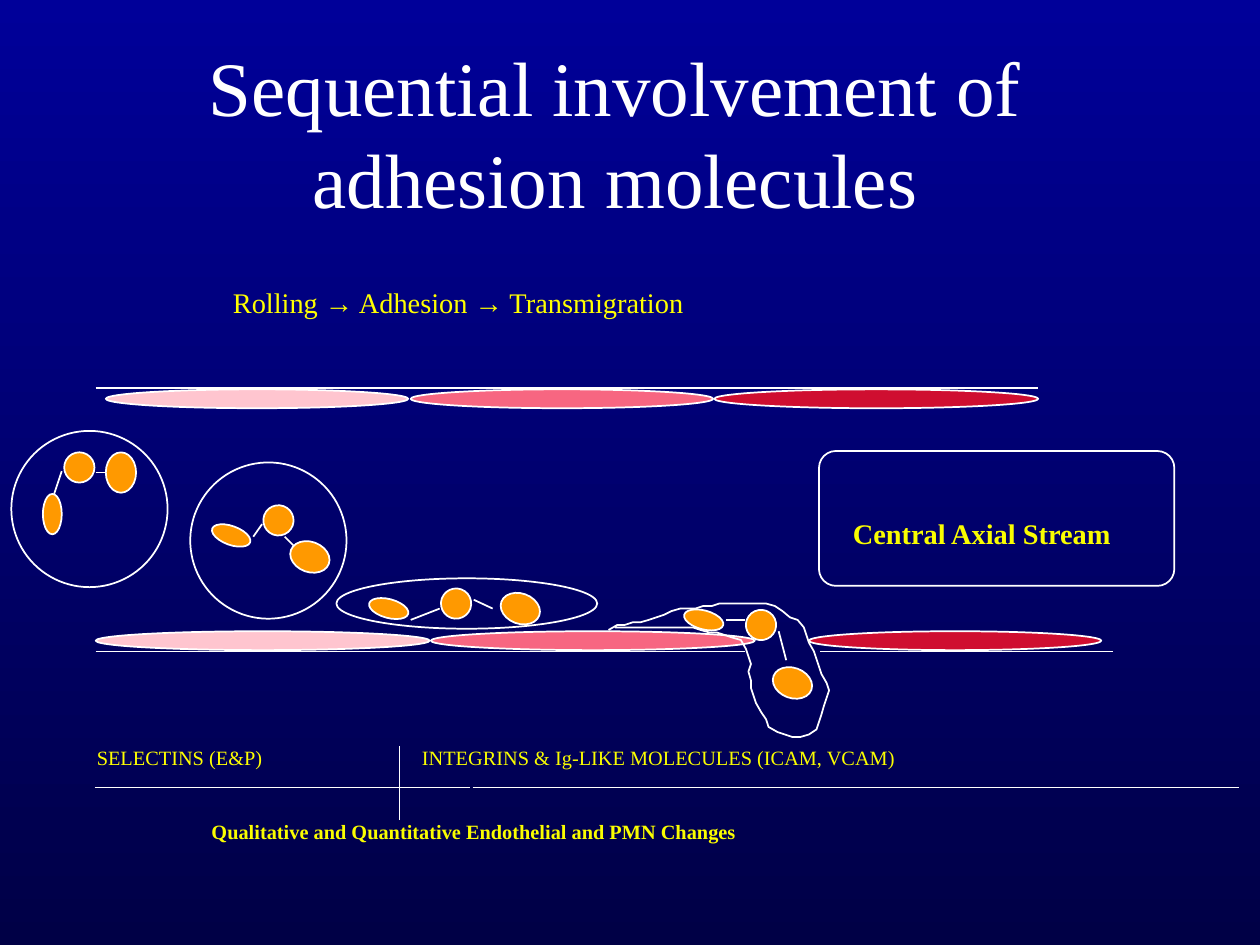
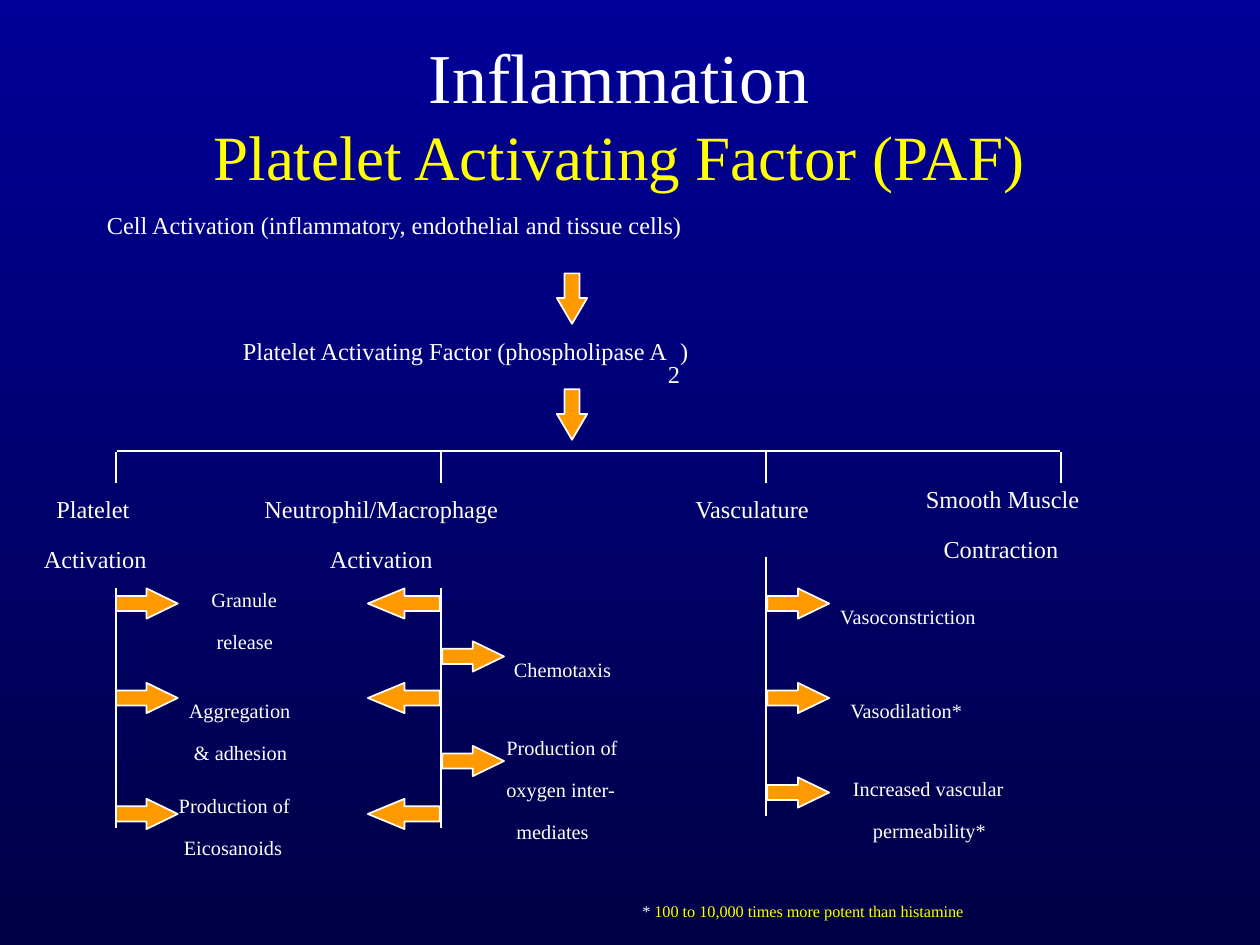
from dataclasses import dataclass

from lxml.etree import SubElement
from pptx import Presentation
from pptx.dml.color import RGBColor
from pptx.enum.shapes import MSO_CONNECTOR as Connector, MSO_SHAPE as Preset
from pptx.enum.text import MSO_ANCHOR as Anchor, MSO_AUTO_SIZE as AutoSize, PP_ALIGN as Align
from pptx.oxml.ns import qn
from pptx.shapes.autoshape import Shape
from pptx.slide import Slide
from pptx.util import Emu, Pt

EMU_PER_PX = 9144
FONT = "Times New Roman"
WHITE, YELLOW, LEMON, ORANGE = "FFFFFF", "FFFF00", "FAFD00", "FF9900"
BACKGROUND = ("000099", "000046")
ENDOTHELIUM = ("FFC5CF", "F76681", "CF0E30")
RAISED, LOWERED = 30, -25
TILT, LEAN = 290, 105

Box = tuple[int, int, int, int]


@dataclass(frozen=True)
class Run:
    text: str
    size: int | None = None
    color: str | None = None
    baseline: int = RAISED


@dataclass(frozen=True)
class Line:
    runs: tuple[Run, ...]
    indent: int = 0


@dataclass(frozen=True)
class Label:
    box: Box
    lines: tuple[Line, ...]
    size: int
    color: str = WHITE
    bold: bool = False
    wrap: bool = False


@dataclass(frozen=True)
class Figure:
    preset: Preset
    box: Box
    fill: str | None = None
    rotation: int = 0
    adjustments: tuple[float, ...] = ()


def px(length: int) -> Emu:
    return Emu(length * EMU_PER_PX)


def rgb(color: str) -> RGBColor:
    return RGBColor.from_string(color)


def line(text: str, indent: int = 0) -> Line:
    return Line((Run(text),), indent)


def ellipse(box: Box, fill: str | None = None, rotation: int = 0) -> Figure:
    return Figure(Preset.OVAL, box, fill, rotation)


def new_slide(presentation: Presentation) -> Slide:
    slide = presentation.slides.add_slide(presentation.slide_layouts[6])
    fill = slide.background.fill
    fill.gradient()
    fill.gradient_angle = 270
    for stop, color in zip(fill.gradient_stops, BACKGROUND):
        stop.color.rgb = rgb(color)
    return slide


def style_outline(shape: Shape, fill: str | None) -> None:
    shape.shadow.inherit = False
    shape.line.color.rgb = rgb(WHITE)
    shape.line.width = Pt(1)
    if fill:
        shape.fill.solid()
        shape.fill.fore_color.rgb = rgb(fill)
    else:
        shape.fill.background()


def draw_figure(slide: Slide, figure: Figure) -> None:
    shape = slide.shapes.add_shape(figure.preset, *map(px, figure.box))
    shape.rotation = figure.rotation
    for index, value in enumerate(figure.adjustments):
        shape.adjustments[index] = value
    style_outline(shape, figure.fill)


def draw_rule(slide: Slide, ends: Box) -> None:
    connector = slide.shapes.add_connector(Connector.STRAIGHT, *map(px, ends))
    connector.line.color.rgb = rgb(WHITE)
    connector.line.width = Pt(1)
    SubElement(connector._element.spPr, qn("a:effectLst"))


def draw_path(slide: Slide, points: tuple[tuple[int, int], ...]) -> None:
    builder = slide.shapes.build_freeform(*points[0], scale=EMU_PER_PX)
    builder.add_line_segments(points[1:], close=False)
    style_outline(builder.convert_to_shape(), None)


def style_run(run, source: Run) -> None:
    run.text = source.text
    if source.size:
        run.font.size = Pt(source.size)
    if source.color:
        run.font.color.rgb = rgb(source.color)


def style_paragraph(paragraph, size: int, color: str, bold: bool = False) -> None:
    font = paragraph.font
    font.name, font.size, font.bold = FONT, Pt(size), bold
    font.color.rgb = rgb(color)


def draw_label(slide: Slide, label: Label) -> None:
    frame = slide.shapes.add_textbox(*map(px, label.box)).text_frame
    frame.word_wrap = label.wrap
    frame.auto_size = AutoSize.SHAPE_TO_FIT_TEXT
    for index, source in enumerate(label.lines):
        paragraph = frame.add_paragraph() if index else frame.paragraphs[0]
        if source.indent:
            paragraph._p.get_or_add_pPr().set("marL", str(px(source.indent)))
        style_paragraph(paragraph, label.size, label.color, label.bold)
        for part in source.runs:
            run = paragraph.add_run()
            style_run(run, part)
            run._r.get_or_add_rPr().set("baseline", str(part.baseline * 1000))


def draw_title(slide: Slide, box: Box, size: int, rows: tuple[Run, ...]) -> None:
    frame = slide.shapes.add_textbox(*map(px, box)).text_frame
    frame.word_wrap = True
    frame.vertical_anchor = Anchor.BOTTOM
    paragraph = frame.paragraphs[0]
    paragraph.alignment = Align.CENTER
    style_paragraph(paragraph, size, WHITE)
    for index, row in enumerate(rows):
        if index:
            paragraph.add_line_break()
        style_run(paragraph.add_run(), row)


MIGRATING_CELL = (
    (483, 500), (490, 496), (496, 496), (502, 494), (508, 494), (515, 492), (521, 490),
    (527, 488), (533, 485), (540, 483), (552, 483), (558, 481), (565, 481), (571, 479),
    (608, 479), (615, 481), (621, 485), (627, 490), (633, 492), (638, 498), (640, 504),
    (642, 510), (646, 517), (648, 523), (650, 529), (652, 535), (656, 542), (658, 548),
    (656, 554), (654, 560), (652, 567), (650, 573), (648, 579), (642, 583), (635, 585),
    (629, 585), (623, 583), (617, 581), (610, 577), (608, 571), (604, 565), (600, 558),
    (598, 552), (596, 546), (596, 540), (594, 533), (596, 527), (594, 521), (592, 515),
    (588, 508), (581, 506), (575, 504), (569, 502), (563, 502), (556, 500), (550, 498),
    (488, 498),
)
VESSEL_WALLS = ((76, 308, 824, 308), (76, 517, 591, 517), (651, 517, 883, 517))
ENDOTHELIAL_ROWS = (
    (501, ((76, 265), (342, 257), (642, 232))),
    (309, ((84, 240), (326, 240), (567, 257))),
)
CELL_BODIES = (
    ellipse((9, 342, 124, 124)),
    ellipse((151, 367, 124, 124), rotation=TILT),
    ellipse((267, 459, 207, 40)),
    Figure(Preset.ROUNDED_RECTANGLE, (650, 358, 282, 107), adjustments=(0.125,)),
)
SMALL_LOBE, ROUND_LOBE, LARGE_LOBE = (15, 32), (24, 24), (24, 32)
LOBES = (
    (SMALL_LOBE, ((34, 392, 0), (176, 409, TILT), (301, 467, LEAN), (551, 476, LEAN))),
    (ROUND_LOBE, ((51, 359, 0), (209, 401, TILT), (350, 467, TILT), (592, 484, TILT))),
    (LARGE_LOBE, ((84, 359, 0), (234, 426, TILT), (401, 467, TILT), (617, 526, TILT))),
)
LOBE_LINKS = (
    (43, 392, 49, 374), (76, 375, 83, 375), (201, 426, 208, 416), (226, 426, 233, 433),
    (326, 492, 349, 483), (376, 476, 391, 483), (576, 492, 591, 492), (618, 501, 624, 524),
)
TIMELINE = ((75, 625, 373, 625), (317, 651, 317, 592), (375, 625, 983, 625))
ADHESION_LABELS = (
    Label((667, 400, 262, 41), (line("Central Axial Stream"),), 28, LEMON, bold=True),
    Label((175, 217, 649, 56), (line("Rolling → Adhesion → Transmigration"),), 28, YELLOW),
    Label((67, 583, 246, 43), (line("SELECTINS (E&P)"),), 20, YELLOW),
    Label((325, 583, 667, 43),
          (line("INTEGRINS & Ig-LIKE MOLECULES (ICAM, VCAM)"),), 20, LEMON),
    Label((158, 642, 735, 43),
          (line("Qualitative and Quantitative Endothelial and PMN Changes"),), 20, LEMON, bold=True),
)

BRANCHES = (92, 350, 608, 842)
EFFECT_STEMS = ((92, 467, 92, 657), (350, 467, 350, 657), (608, 442, 608, 648))
RIGHT_ARROWS = ((92, (467, 542, 634)), (351, (509, 592)), (609, (467, 542, 617)))
LEFT_ARROW_TOPS = (467, 542, 634)
DOWN_ARROW_TOPS = (217, 309)
PAF_LABELS = (
    Label((75, 158, 833, 50),
          (line("Cell Activation (inflammatory, endothelial and tissue cells)"),), 24, wrap=True),
    Label((183, 258, 883, 50),
          (Line((Run("Platelet Activating Factor (phospholipase A"),
                 Run("2", baseline=LOWERED), Run(")"))),), 24, wrap=True),
    Label((725, 375, 230, 90), (line("Smooth Muscle"), line("Contraction", 14)), 24),
    Label((542, 383, 179, 50), (line("Vasculature"),), 24),
    Label((200, 383, 340, 90), (line("Neutrophil/Macrophage"), line("Activation", 52)), 24),
    Label((25, 383, 160, 90), (line("Platelet", 10), line("Activation")), 24),
    Label((158, 458, 109, 76), (line("Granule"), line("release", 4)), 20),
    Label((140, 546, 159, 76), (line("Aggregation"), line("& adhesion", 4)), 20),
    Label((132, 621, 172, 76), (line("Production of"), line("Eicosanoids", 4)), 20),
    Label((398, 513, 152, 43), (line("Chemotaxis"),), 20),
    Label((392, 575, 172, 110),
          (line("Production of"), line("oxygen inter-"), line("mediates", 8)), 20),
    Label((657, 471, 222, 43), (line("Vasoconstriction"),), 20),
    Label((665, 546, 175, 43), (line("Vasodilation*"),), 20),
    Label((667, 608, 225, 76), (line("Increased vascular"), line("permeability*", 16)), 20),
    Label((500, 708, 556, 36),
          (Line((Run("* "), Run("100 to 10,000 times more potent than histamine",
                                color=YELLOW))),), 16, wrap=True),
)


def build_adhesion(presentation: Presentation) -> None:
    slide = new_slide(presentation)
    draw_title(slide, (0, 25, 992, 158), 44,
               (Run("Sequential involvement of "), Run("adhesion molecules ")))
    for ends in VESSEL_WALLS:
        draw_rule(slide, ends)
    for top, spans in ENDOTHELIAL_ROWS:
        for (left, width), color in zip(spans, ENDOTHELIUM):
            draw_figure(slide, ellipse((left, top, width, 15), color))
    for body in CELL_BODIES:
        draw_figure(slide, body)
    for size, places in LOBES:
        for left, top, rotation in places:
            draw_figure(slide, ellipse((left, top, *size), ORANGE, rotation))
    for ends in LOBE_LINKS + TIMELINE:
        draw_rule(slide, ends)
    draw_path(slide, MIGRATING_CELL)
    for label in ADHESION_LABELS:
        draw_label(slide, label)


def build_paf(presentation: Presentation) -> None:
    slide = new_slide(presentation)
    draw_title(slide, (25, 58, 933, 100), 40,
               (Run("Inflammation"), Run("Platelet Activating Factor (PAF)", 36, YELLOW)))
    draw_rule(slide, (93, 358, 841, 358))
    for branch in BRANCHES:
        draw_rule(slide, (branch, 359, branch, 383))
    for ends in EFFECT_STEMS:
        draw_rule(slide, ends)
    for left, tops in RIGHT_ARROWS:
        for top in tops:
            draw_figure(slide, Figure(Preset.RIGHT_ARROW, (left, top, 49, 24), ORANGE,
                                      adjustments=(0.5, 1.03)))
    for top in LEFT_ARROW_TOPS:
        draw_figure(slide, Figure(Preset.LEFT_ARROW, (292, top, 57, 24), ORANGE,
                                  adjustments=(0.5, 1.21)))
    for top in DOWN_ARROW_TOPS:
        draw_figure(slide, Figure(Preset.DOWN_ARROW, (442, top, 24, 40), ORANGE,
                                  adjustments=(0.5, 0.85)))
    for label in PAF_LABELS:
        draw_label(slide, label)


def main() -> None:
    """Build both slides and save them."""
    presentation = Presentation()
    presentation.slide_width, presentation.slide_height = px(1000), px(750)
    build_adhesion(presentation)
    build_paf(presentation)
    presentation.save("out.pptx")


if __name__ == "__main__":
    main()
